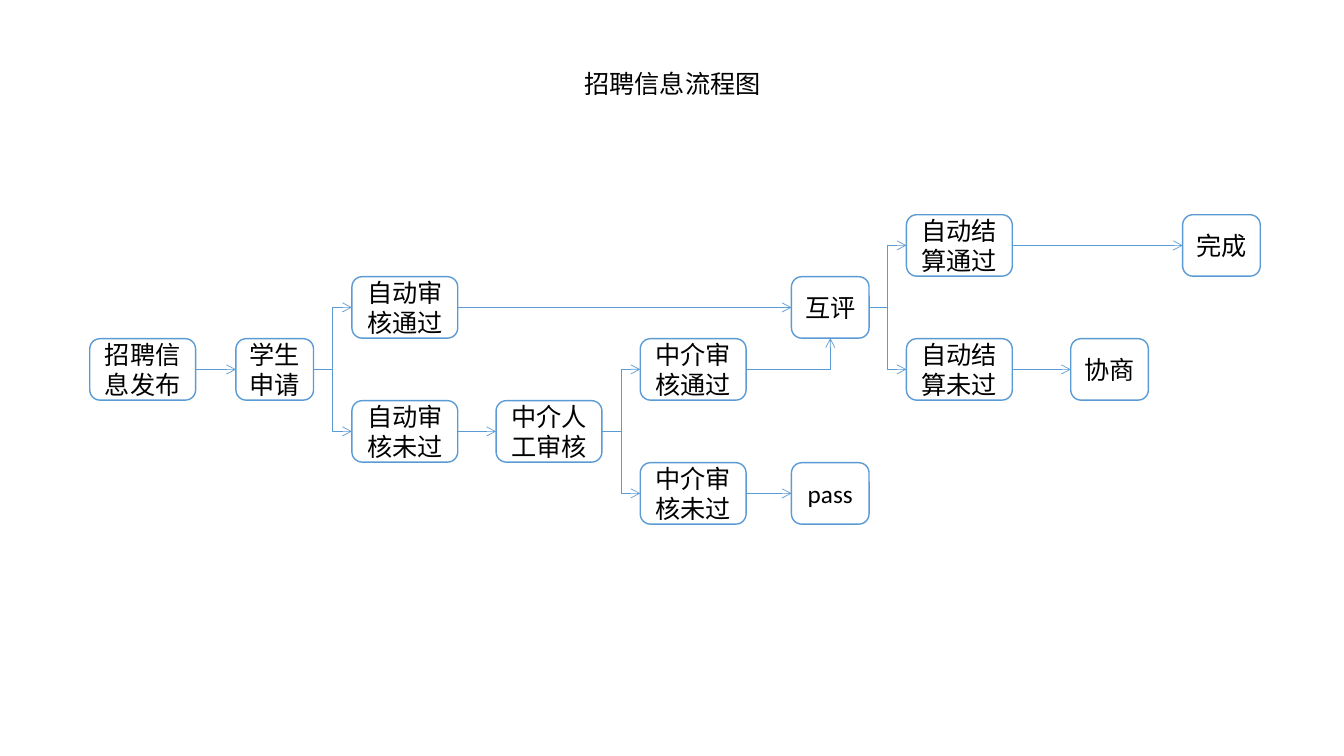
from pptx import Presentation
from pptx.dml.color import RGBColor
from pptx.enum.shapes import MSO_CONNECTOR as Link, MSO_SHAPE as Preset
from pptx.enum.text import MSO_ANCHOR as Anchor, MSO_AUTO_SIZE as AutoSize, PP_ALIGN as Align
from pptx.oxml.ns import qn
from pptx.util import Inches, Pt
from lxml import etree

BLUE = "5B9BD5"
WIDE, NARROW, HEIGHT = 1.05, 0.77, 0.61
TOP, ROW_STEP = 2.13, 0.615
TOP_SIDE, LEFT_SIDE, RIGHT_SIDE = 0, 1, 3


def color(hex_text):
    return RGBColor.from_string(hex_text)


def write(shape, text):
    """Put one centred 18 pt line of text in the shape."""
    frame = shape.text_frame
    frame.word_wrap = True
    frame.auto_size = AutoSize.NONE
    frame.vertical_anchor = Anchor.MIDDLE
    para = frame.paragraphs[0]
    para.alignment = Align.CENTER
    span = para.add_run()
    span.text = text
    span.font.size = Pt(18)
    span.font.name = "Calibri"
    span.font.color.rgb = color("000000")


deck = Presentation()
deck.slide_width = Inches(13.33)
deck.slide_height = Inches(7.5)
page = deck.slides.add_slide(deck.slide_layouts[5])

title = page.shapes.title
title.left, title.top = Inches(5.29), Inches(0.63)
title.width, title.height = Inches(2.76), Inches(0.4)
write(title, "招聘信息流程图")

# Steps: text, left edge, row, width
steps = [
    ("招聘信息发布", 0.89, 2, WIDE),
    ("学生申请", 2.34, 2, NARROW),
    ("自动审核通过", 3.49, 1, WIDE),
    ("自动审核未过", 3.49, 3, WIDE),
    ("互评", 7.85, 1, NARROW),
    ("自动结算通过", 8.99, 0, WIDE),
    ("自动结算未过", 8.99, 2, WIDE),
    ("中介人工审核", 4.92, 3, WIDE),
    ("中介审核通过", 6.35, 2, WIDE),
    ("中介审核未过", 6.35, 4, WIDE),
    ("pass", 7.85, 4, NARROW),
    ("完成", 11.73, 0, NARROW),
    ("协商", 10.62, 2, NARROW),
]
boxes = {}
for text, left, row, width in steps:
    box = page.shapes.add_shape(
        Preset.FLOWCHART_ALTERNATE_PROCESS,
        Inches(left), Inches(TOP + row * ROW_STEP), Inches(width), Inches(HEIGHT))
    box.shadow.inherit = False
    box.fill.solid()
    box.fill.fore_color.rgb = color("FFFFFF")
    box.line.color.rgb = color(BLUE)
    box.line.width = Pt(1)
    box.text_frame.margin_left = box.text_frame.margin_right = Inches(0.05)
    write(box, text)
    boxes[text] = box

# Arrows leave the right side of the first step and enter the second
arrows = [
    ("招聘信息发布", "学生申请", LEFT_SIDE),
    ("学生申请", "自动审核未过", LEFT_SIDE),
    ("学生申请", "自动审核通过", LEFT_SIDE),
    ("自动审核未过", "中介人工审核", LEFT_SIDE),
    ("自动审核通过", "互评", LEFT_SIDE),
    ("中介人工审核", "中介审核未过", LEFT_SIDE),
    ("中介人工审核", "中介审核通过", LEFT_SIDE),
    ("中介审核未过", "pass", LEFT_SIDE),
    ("中介审核通过", "互评", TOP_SIDE + 2),
    ("互评", "自动结算未过", LEFT_SIDE),
    ("互评", "自动结算通过", LEFT_SIDE),
    ("自动结算通过", "完成", LEFT_SIDE),
    ("自动结算未过", "协商", LEFT_SIDE),
]
for source, target, side in arrows:
    level = boxes[source].top == boxes[target].top
    arrow = page.shapes.add_connector(Link.STRAIGHT if level else Link.ELBOW, 0, 0, 0, 0)
    arrow.begin_connect(boxes[source], RIGHT_SIDE)
    arrow.end_connect(boxes[target], side)
    arrow.line.color.rgb = color(BLUE)
    arrow.line.width = Pt(0.5)
    properties = arrow.element.spPr
    if side != LEFT_SIDE:
        properties.find(qn("a:prstGeom")).set("prst", "bentConnector2")
    etree.SubElement(properties.find(qn("a:ln")), qn("a:tailEnd"), type="arrow")
    etree.SubElement(properties, qn("a:effectLst"))

deck.save("out.pptx")
